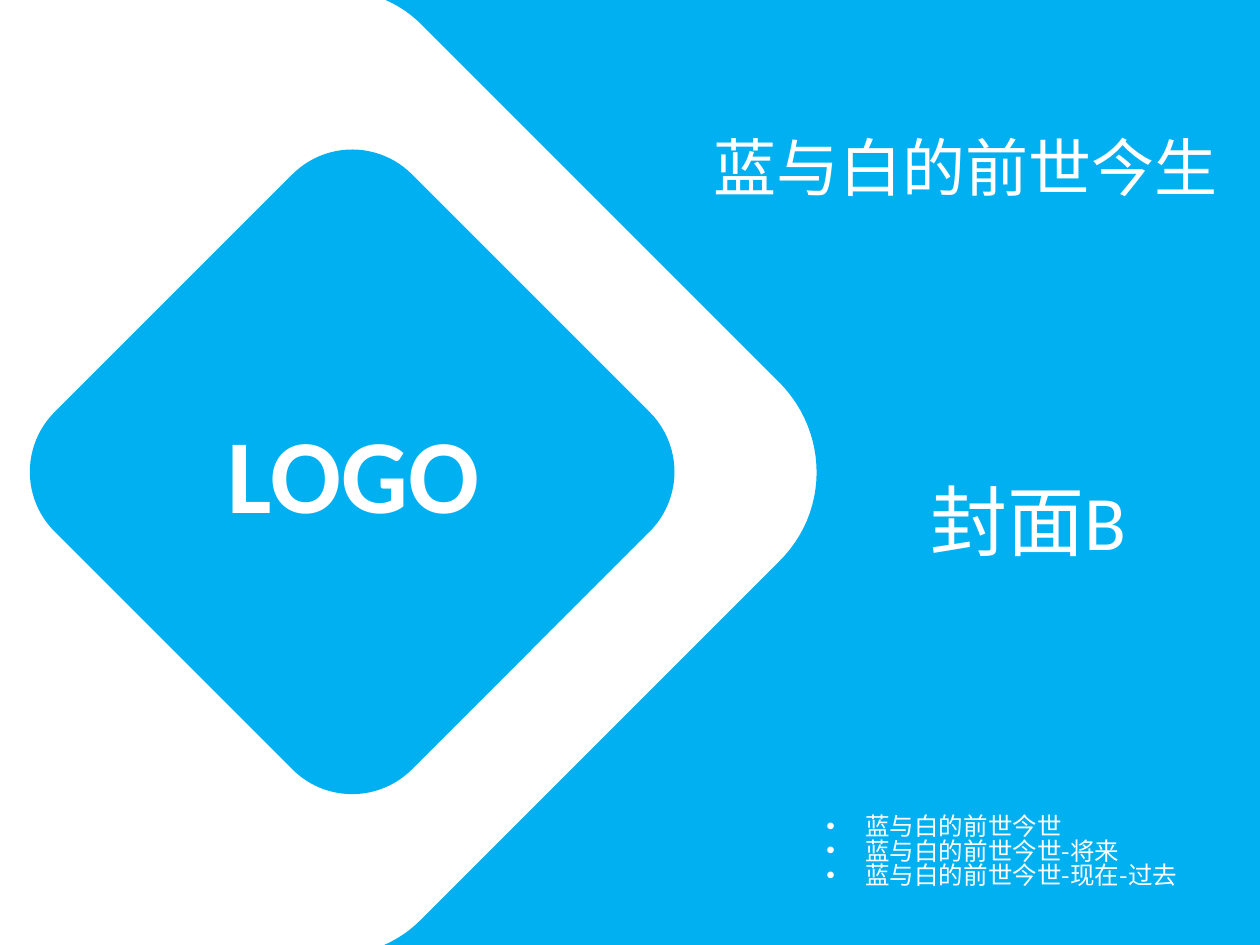
from lxml.etree import SubElement
from pptx import Presentation
from pptx.dml.color import RGBColor
from pptx.enum.shapes import MSO_SHAPE
from pptx.enum.text import MSO_AUTO_SIZE, PP_ALIGN
from pptx.oxml.ns import qn
from pptx.util import Inches, Pt

BLUE, WHITE = "00B0F0", "FFFFFF"
LATIN, CHINESE = "Calibri", "Noto Sans CJK SC"


def color(value):
    return RGBColor.from_string(value)


def curve(start, first, second, end, steps=24):
    """Points along a cubic curve, start and end included."""
    points = []
    for step in range(steps + 1):
        t = step / steps
        u = 1 - t
        weights = (u ** 3, 3 * u * u * t, 3 * u * t * t, t ** 3)
        points.append(tuple(
            sum(weight * point[axis] for weight, point in
                zip(weights, (start, first, second, end)))
            for axis in (0, 1)))
    return points


class Cover:
    def __init__(self, deck):
        self.fill, self.ink = BLUE, WHITE
        self.slide = deck.slides.add_slide(deck.slide_layouts[6])

    def paint(self, shape):
        shape.shadow.inherit = False
        shape.fill.solid()
        shape.fill.fore_color.rgb = color(self.fill)
        shape.line.fill.background()

    def outline(self, points):
        corners = [(Inches(x), Inches(y)) for x, y in points]
        builder = self.slide.shapes.build_freeform(*corners[0])
        builder.add_line_segments(corners[1:], close=True)
        self.paint(builder.convert_to_shape())

    def diamond(self, left, top, side, rounding):
        shape = self.slide.shapes.add_shape(
            MSO_SHAPE.ROUNDED_RECTANGLE,
            Inches(left), Inches(top), Inches(side), Inches(side))
        shape.adjustments[0] = rounding
        shape.rotation = 45
        self.paint(shape)

    def bullet(self, para):
        properties = para._p.get_or_add_pPr()
        properties.set("marL", str(Inches(0.31)))
        properties.set("indent", str(Inches(-0.31)))
        bullet_color = SubElement(properties, qn("a:buClr"))
        SubElement(bullet_color, qn("a:srgbClr"), val=self.ink)
        SubElement(properties, qn("a:buFont"), typeface="Arial")
        SubElement(properties, qn("a:buChar"), char="•")

    def text(self, place, paragraphs, size, bold=False, bullets=False):
        """Each paragraph is a list of (words, font) runs."""
        box = self.slide.shapes.add_textbox(*map(Inches, place))
        frame = box.text_frame
        frame.word_wrap = True
        frame.auto_size = MSO_AUTO_SIZE.SHAPE_TO_FIT_TEXT
        for index, runs in enumerate(paragraphs):
            para = frame.add_paragraph() if index else frame.paragraphs[0]
            if bullets:
                self.bullet(para)
            else:
                para.alignment = PP_ALIGN.CENTER
            for words, font in runs:
                span = para.add_run()
                span.text = words
                span.font.name = font
                span.font.size = Pt(size)
                span.font.bold = bold
                span.font.color.rgb = color(self.ink)
                if font == CHINESE:
                    # Tall line metrics are trimmed to 1.2 times the size
                    para.line_spacing = 0.83
                    SubElement(span._r.get_or_add_rPr(), qn("a:ea"),
                               typeface=font)


def main():
    deck = Presentation()
    deck.slide_width, deck.slide_height = Inches(10), Inches(7.5)
    cover = Cover(deck)

    # Blue field with a rounded notch
    cover.outline(
        [(10, 0), (10, 7.5)]
        + curve((3.05, 7.5), (3.16, 7.45), (3.25, 7.39), (3.34, 7.3))
        + curve((6.18, 4.46), (6.58, 4.07), (6.58, 3.44), (6.19, 3.04))
        + curve((3.35, 0.2), (3.26, 0.11), (3.17, 0.05), (3.06, 0)))

    # Diamond with its label
    cover.diamond(0.79, 1.74, 4.01, 0.167)
    cover.text((1.23, 3.19, 3.15, 1.1), [[("LOGO", LATIN)]], 60, bold=True)

    # Title, list of topics and cover name
    cover.text((5.44, 1.07, 4.44, 0.7), [[("蓝与白的前世今生", CHINESE)]], 36)
    topics = ["蓝与白的前世今世", "蓝与白的前世今世-将来",
              "蓝与白的前世今世-现在-过去"]
    cover.text((6.46, 6.43, 3.24, 0.8),
               [[(topic, CHINESE)] for topic in topics], 14, bullets=True)
    cover.text((6.47, 3.83, 3.39, 0.84),
               [[("封面", CHINESE), ("B", LATIN)]], 44)

    deck.save("out.pptx")


if __name__ == "__main__":
    main()
